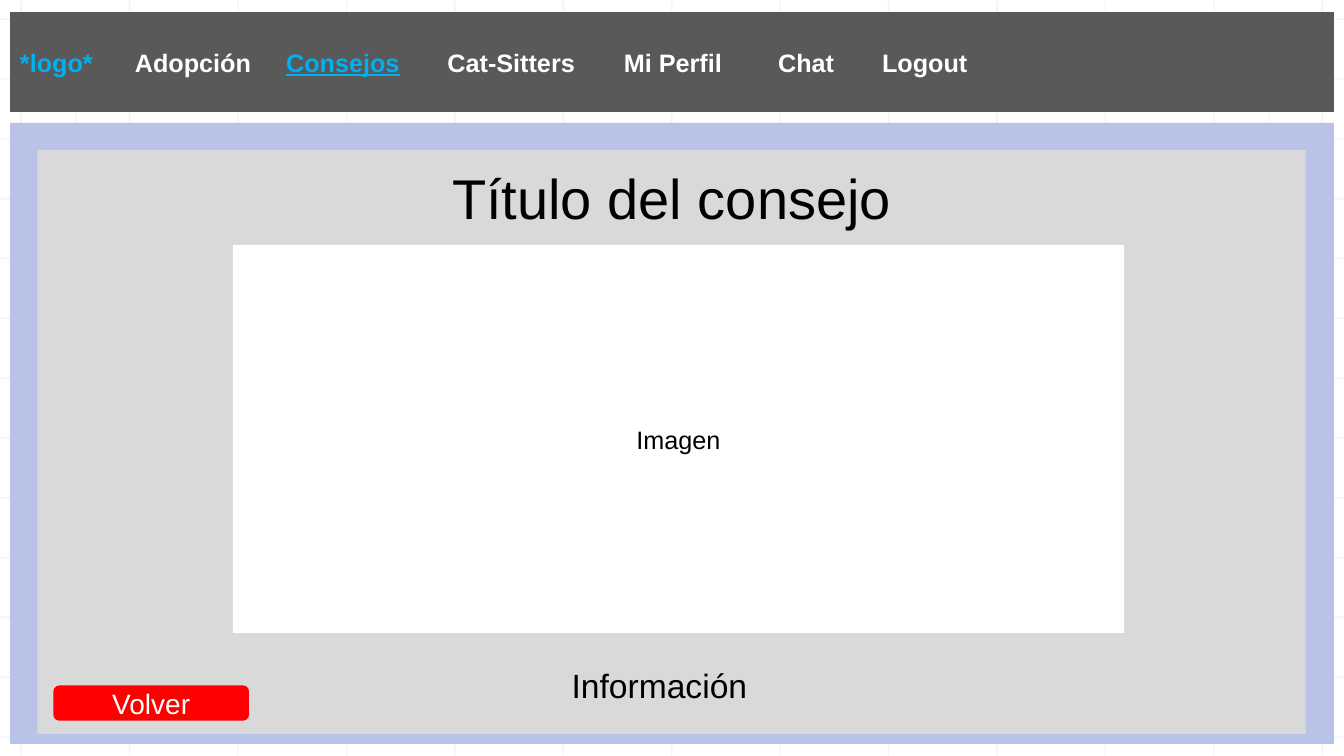
from lxml import etree
from pptx import Presentation
from pptx.dml.color import RGBColor
from pptx.enum.dml import MSO_LINE
from pptx.enum.shapes import MSO_CONNECTOR, MSO_SHAPE
from pptx.enum.text import MSO_ANCHOR, PP_ALIGN
from pptx.oxml.ns import qn
from pptx.util import Inches, Pt

WIDTH, HEIGHT = 13.33, 7.5
FONT = "Arial"
COLORS = {
    "grid": "BCBCBC", "frame": "B8C3E7", "panel": "D9D9D9", "nav": "595959",
    "accent": "00B0F0", "button": "FF0000", "white": "FFFFFF", "black": "000000",
}
# Menu label and its distance from the start of the text
MENU = [("*logo*", 0), ("Adopción", 1.14), ("Consejos", 2.64), ("Cat-Sitters", 4.24),
        ("Mi Perfil", 5.99), ("Chat", 7.52), ("Logout", 8.55)]
ACCENTED = {"*logo*", "Consejos"}
CURRENT = "Consejos"


def rgb(name):
    return RGBColor.from_string(COLORS[name])


def add_grid_line(slide, x1, y1, x2, y2):
    line = slide.shapes.add_connector(
        MSO_CONNECTOR.STRAIGHT, Inches(x1), Inches(y1), Inches(x2), Inches(y2))
    line.line.color.rgb = rgb("grid")
    line.line.width = Pt(1)
    line.line.dash_style = MSO_LINE.ROUND_DOT
    properties = line._element.spPr
    color = properties.find(".//" + qn("a:srgbClr"))
    etree.SubElement(color, qn("a:alpha")).set("val", "30000")
    etree.SubElement(properties, qn("a:effectLst"))


def add_grid(slide):
    columns = [0.21 + i * 1.0755 for i in range(13)]
    rows = [0.19 + i * 0.5935 for i in range(13)]
    for x in columns:
        add_grid_line(slide, x, 0, x, HEIGHT)
    for y in rows:
        add_grid_line(slide, 0, y, WIDTH, y)
    # Side margins
    for x in (0.75, 12.59):
        add_grid_line(slide, x, rows[0], x, rows[-1])


def add_run(paragraph, text, size, color, bold=False, underline=False):
    run = paragraph.add_run()
    run.text = text
    run.font.name = FONT
    run.font.size = Pt(size)
    run.font.color.rgb = rgb(color)
    run.font.bold = bold
    run.font.underline = underline


def add_centered_text(shape, text, size, color):
    shape.text_frame.word_wrap = True
    paragraph = shape.text_frame.paragraphs[0]
    paragraph.alignment = PP_ALIGN.CENTER
    add_run(paragraph, text, size, color)


def add_box(slide, box, fill, kind=MSO_SHAPE.RECTANGLE):
    shape = slide.shapes.add_shape(kind, *map(Inches, box))
    shape.shadow.inherit = False
    shape.fill.solid()
    shape.fill.fore_color.rgb = rgb(fill)
    shape.line.fill.background()
    shape.text_frame.vertical_anchor = MSO_ANCHOR.MIDDLE
    return shape


def add_label(slide, box, text, size):
    label = slide.shapes.add_textbox(*map(Inches, box))
    add_centered_text(label, text, size, "black")


def add_nav_bar(slide):
    bar = add_box(slide, (0.1, 0.12, 13.13, 0.99), "nav")
    paragraph = bar.text_frame.paragraphs[0]
    paragraph.alignment = PP_ALIGN.LEFT
    tabs = etree.SubElement(paragraph._p.get_or_add_pPr(), qn("a:tabLst"))
    for label, offset in MENU:
        if offset:
            tab = etree.SubElement(tabs, qn("a:tab"))
            tab.set("pos", str(Inches(offset)))
            tab.set("algn", "l")
            add_run(paragraph, "\t", 18, "white", bold=True)
        color = "accent" if label in ACCENTED else "white"
        add_run(paragraph, label, 18, color, bold=True, underline=label == CURRENT)


def main():
    prs = Presentation()
    prs.slide_width, prs.slide_height = Inches(WIDTH), Inches(HEIGHT)
    slide = prs.slides.add_slide(prs.slide_layouts[6])
    slide.background.fill.solid()
    slide.background.fill.fore_color.rgb = rgb("white")
    add_grid(slide)

    # Page frame and content panel
    add_box(slide, (0.1, 1.22, 13.13, 6.16), "frame")
    add_box(slide, (0.37, 1.49, 12.58, 5.79), "panel")

    # Advice: title, image area and information
    add_label(slide, (3.69, 1.57, 5.94, 0.77), "Título del consejo", 40)
    image_area = add_box(slide, (2.31, 2.43, 8.84, 3.85), "white")
    add_centered_text(image_area, "Imagen", 18, "black")
    add_label(slide, (3.57, 6.55, 5.94, 0.5), "Información", 24)

    # Back button
    button = add_box(slide, (0.53, 6.8, 1.94, 0.35), "button", MSO_SHAPE.ROUNDED_RECTANGLE)
    add_centered_text(button, "Volver", 20, "white")

    add_nav_bar(slide)
    prs.save("out.pptx")


main()
